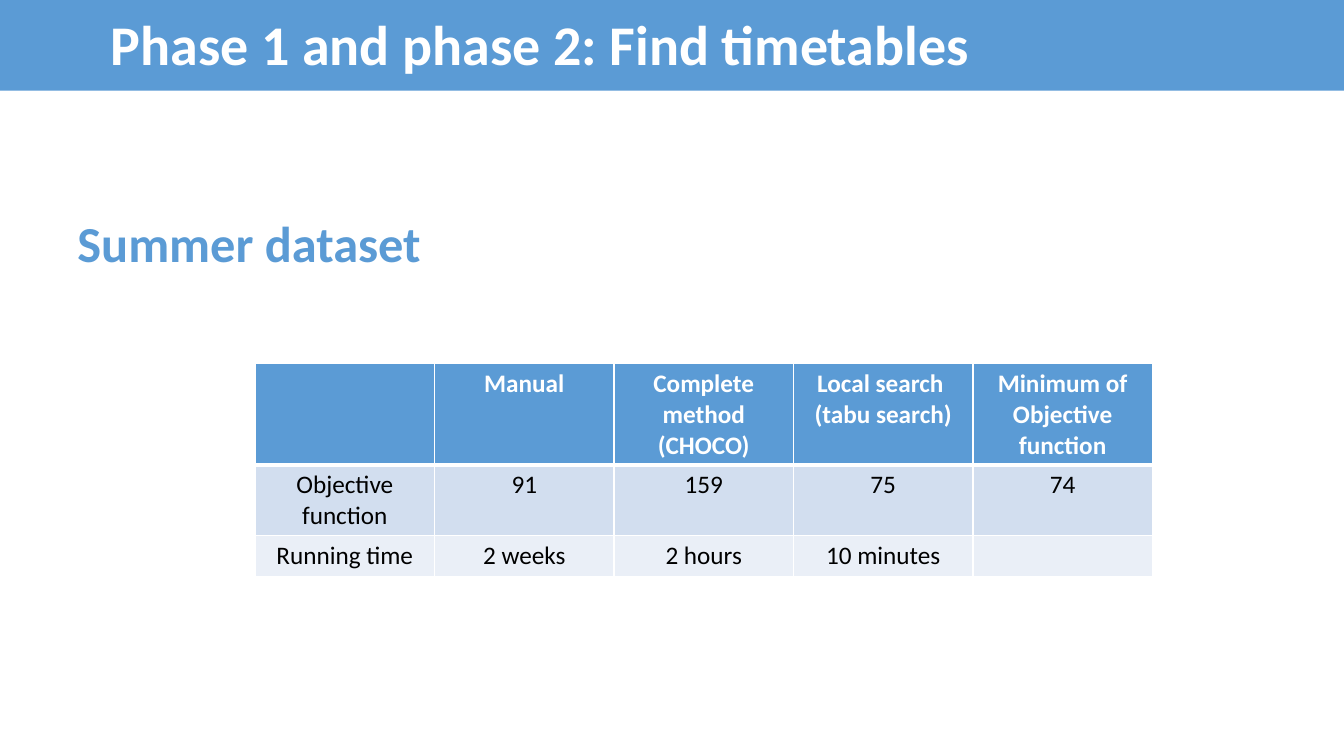
from dataclasses import dataclass

import pptx
import pptx.dml.color
import pptx.enum.shapes
import pptx.enum.text
import pptx.oxml
import pptx.oxml.ns
import pptx.util
from pptx.util import Inches


@dataclass(frozen=True)
class Theme:
    font: str = "Calibri"
    blue: str = "5B9BD5"
    white: str = "FFFFFF"
    black: str = "000000"
    bands: tuple = ("D2DEEF", "EAEFF7")
    title: int = 40
    heading: int = 36
    body: int = 18
    thin: int = 1
    thick: int = 3


THEME = Theme()

RESULTS = [
    ["", "Manual", "Complete method (CHOCO)", "Local search \n(tabu search)",
     "Minimum of Objective function"],
    ["Objective function", "91", "159", "75", "74"],
    ["Running time", "2 weeks", "2 hours", "10 minutes", ""],
]
ROW_HEIGHTS = [1.0, 0.7, 0.41]
COLUMN_WIDTH = 1.78


def rgb(color):
    return pptx.dml.color.RGBColor.from_string(color)


def set_text(tf, text, size, color, bold=False, align=pptx.enum.text.PP_ALIGN.LEFT):
    """Fill a text frame, one paragraph for each line of text."""
    tf.text = text
    for p in tf.paragraphs:
        p.alignment = align
        p.font.name = THEME.font
        p.font.size = pptx.util.Pt(size)
        p.font.bold = bold
        p.font.color.rgb = rgb(color)


def set_border(cell, side, width):
    ln = pptx.oxml.parse_xml(
        f'<a:ln{side} {pptx.oxml.ns.nsdecls("a")} w="{pptx.util.Pt(width)}">'
        f'<a:solidFill><a:srgbClr val="{THEME.white}"/></a:solidFill></a:ln{side}>')
    cell._tc.get_or_add_tcPr().append(ln)


def add_title_arrow(s, text):
    sp = s.shapes.add_shape(pptx.enum.shapes.MSO_SHAPE.RIGHT_ARROW,
                            Inches(0), Inches(-0.51), Inches(14.71), Inches(1.88))
    sp.shadow.inherit = False
    sp.fill.solid()
    sp.fill.fore_color.rgb = rgb(THEME.blue)
    sp.line.fill.background()
    tf = sp.text_frame
    tf.margin_left = Inches(1.1)
    tf.vertical_anchor = pptx.enum.text.MSO_ANCHOR.MIDDLE
    set_text(tf, text, THEME.title, THEME.white, bold=True)


def add_heading(s, text):
    tf = s.shapes.add_textbox(Inches(0.67), Inches(2.06), Inches(3.64), Inches(0.71)).text_frame
    tf.word_wrap = False
    tf.auto_size = pptx.enum.text.MSO_AUTO_SIZE.SHAPE_TO_FIT_TEXT
    set_text(tf, text, THEME.heading, THEME.blue, bold=True)


def style_cell(cell, text, row):
    header = row == 0
    widths = {"L": THEME.thin, "R": THEME.thin,
              "T": THEME.thick if row == 1 else THEME.thin,
              "B": THEME.thick if header else THEME.thin}
    for side, width in widths.items():
        set_border(cell, side, width)
    cell.fill.solid()
    cell.fill.fore_color.rgb = rgb(THEME.blue if header else THEME.bands[row - 1])
    set_text(cell.text_frame, text, THEME.body, THEME.white if header else THEME.black,
             bold=header, align=pptx.enum.text.PP_ALIGN.CENTER)


def add_results_table(s, rows):
    columns = len(rows[0])
    table = s.shapes.add_table(len(rows), columns, Inches(2.53), Inches(3.61),
                               Inches(columns * COLUMN_WIDTH), Inches(sum(ROW_HEIGHTS))).table
    for column in table.columns:
        column.width = Inches(COLUMN_WIDTH)
    for i, (texts, height) in enumerate(zip(rows, ROW_HEIGHTS)):
        table.rows[i].height = Inches(height)
        for j, text in enumerate(texts):
            style_cell(table.cell(i, j), text, i)


def main():
    prs = pptx.Presentation()
    prs.slide_width, prs.slide_height = Inches(13.33), Inches(7.5)
    s = prs.slides.add_slide(prs.slide_layouts[6])
    add_title_arrow(s, "Phase 1 and phase 2: Find timetables")
    add_heading(s, "Summer dataset")
    add_results_table(s, RESULTS)
    prs.save("out.pptx")


if __name__ == "__main__":
    main()
